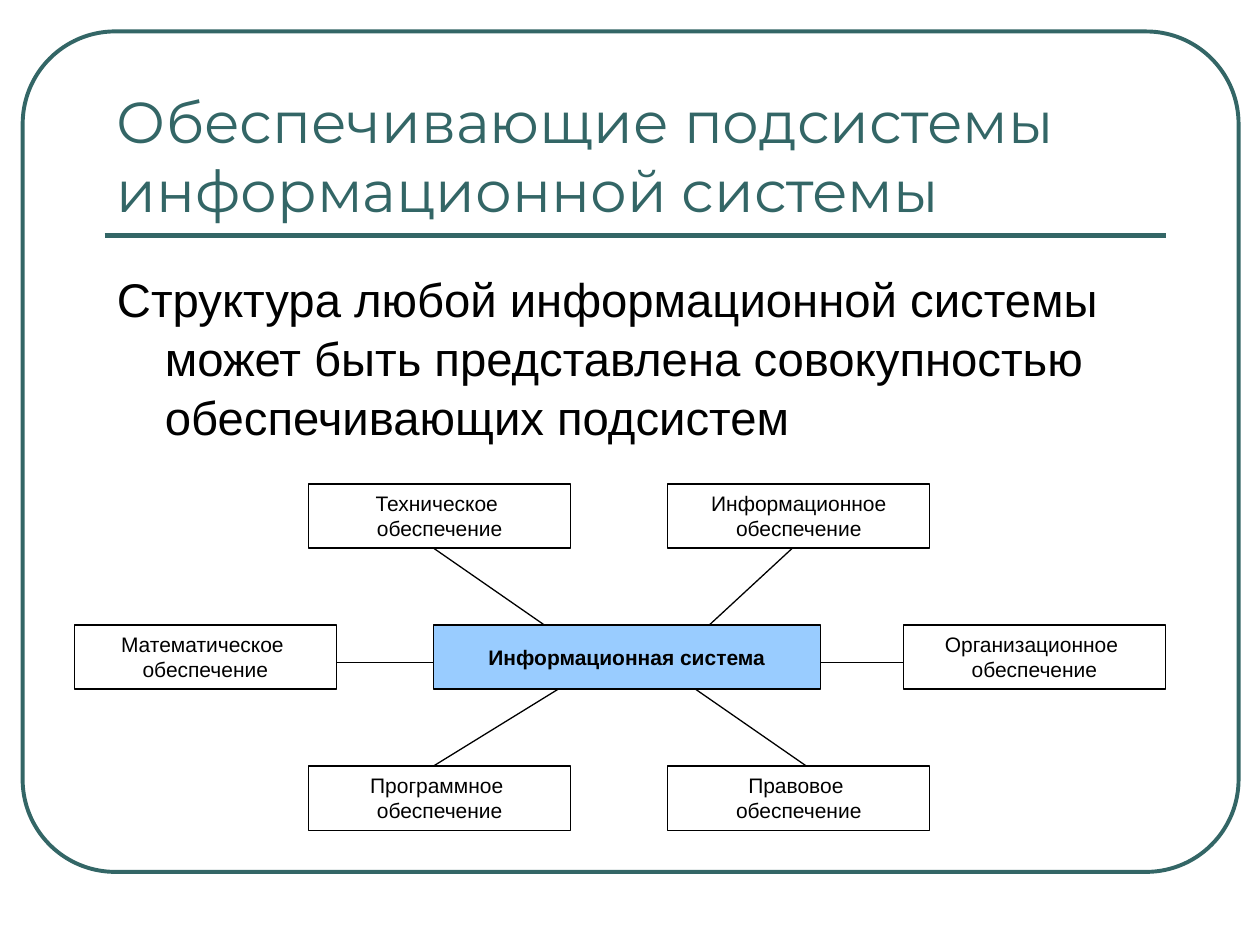
"""Build a slide showing the supporting subsystems of an information system."""
import pptx
import pptx.dml.color
import pptx.enum.shapes
import pptx.enum.text
import pptx.oxml
import pptx.oxml.ns
import pptx.util

Inches = pptx.util.Inches
Pt = pptx.util.Pt
RGBColor = pptx.dml.color.RGBColor
Shape = pptx.enum.shapes.MSO_SHAPE
Anchor = pptx.enum.text.MSO_ANCHOR
Align = pptx.enum.text.PP_ALIGN

TEAL = RGBColor(0x33, 0x66, 0x66)
BLACK = RGBColor(0x00, 0x00, 0x00)
WHITE = RGBColor(0xFF, 0xFF, 0xFF)
BLUE = RGBColor(0x99, 0xCC, 0xFF)

BOX_WIDTH, BOX_HEIGHT = 2.08, 0.51
CENTER_LEFT, CENTER_WIDTH = 3.44, 3.07
TOP_ROW, MIDDLE_ROW, BOTTOM_ROW = (3.84 + 1.12 * row for row in range(3))
INNER_LEFT, INNER_RIGHT = 2.45, 5.3
OUTER_LEFT, OUTER_RIGHT = 0.59, 7.17
SIDE_LINK = 5.26


class SlideStyle:
    """Hold the text style and the current slide."""

    def __init__(self, page):
        self.page = page
        self.font = "Arial"
        self.size = 12

    def set_font(self, para, font, size, color, bold=False):
        para.font.name = font
        para.font.size = Pt(size)
        para.font.color.rgb = color
        para.font.bold = bold

    def text(self, words, left, top, width, height, font, size, color, anchor):
        box = self.page.shapes.add_textbox(
            Inches(left), Inches(top), Inches(width), Inches(height))
        frame = box.text_frame
        frame.word_wrap = True
        frame.vertical_anchor = anchor
        frame.text = words
        para = frame.paragraphs[0]
        self.set_font(para, font, size, color)
        return para

    def shape(self, kind, left, top, width, height, line, weight, fill=None):
        shape = self.page.shapes.add_shape(
            kind, Inches(left), Inches(top), Inches(width), Inches(height))
        shape.shadow.inherit = False
        shape.line.color.rgb = line
        shape.line.width = Pt(weight)
        if fill is None:
            shape.fill.background()
        else:
            shape.fill.solid()
            shape.fill.fore_color.rgb = fill
        return shape

    def box(self, words, left, top, width=BOX_WIDTH, fill=WHITE,
            anchor=Anchor.TOP, bold=False):
        box = self.shape(Shape.RECTANGLE, left, top, width, BOX_HEIGHT,
                         BLACK, 0.75, fill)
        frame = box.text_frame
        frame.word_wrap = True
        frame.vertical_anchor = anchor
        frame.text = words
        for para in frame.paragraphs:
            para.alignment = Align.CENTER
            self.set_font(para, self.font, self.size, BLACK, bold)

    def line(self, start, end, color=BLACK, weight=0.75):
        line = self.page.shapes.add_connector(
            pptx.enum.shapes.MSO_CONNECTOR.STRAIGHT,
            *(Inches(value) for value in (*start, *end)))
        line.line.color.rgb = color
        line.line.width = Pt(weight)
        properties = line._element.spPr
        properties.append(pptx.oxml.parse_xml(
            f"<a:effectLst {pptx.oxml.ns.nsdecls('a')}/>"))


def main():
    deck = pptx.Presentation()
    deck.slide_width, deck.slide_height = Inches(10), Inches(7.5)
    page = deck.slides.add_slide(deck.slide_layouts[6])
    style = SlideStyle(page)

    border = style.shape(Shape.ROUNDED_RECTANGLE, 0.18, 0.25, 9.65, 6.67, TEAL, 2.25)
    border.adjustments[0] = 0.11
    style.line((0.83, 1.87), (9.25, 1.87), TEAL, 3)

    style.text("Обеспечивающие подсистемы информационной системы",
               0.83, 0.58, 8.42, 1.25, "Montserrat", 33, TEAL, Anchor.BOTTOM)
    body = style.text(
        "Структура любой информационной системы может быть представлена "
        "совокупностью обеспечивающих подсистем",
        0.83, 2.08, 8.42, 1.51, "Arial", 27, BLACK, Anchor.TOP)
    body.space_before = Pt(6.8)
    body.line_spacing = 1.04
    indent = body._p.get_or_add_pPr()
    indent.set("marL", str(Inches(0.38)))
    indent.set("indent", str(Inches(-0.38)))

    subsystems = [
        ("Техническое \nобеспечение", INNER_LEFT, TOP_ROW),
        ("Информационное обеспечение", INNER_RIGHT, TOP_ROW),
        ("Математическое \nобеспечение", OUTER_LEFT, MIDDLE_ROW),
        ("Организационное \nобеспечение", OUTER_RIGHT, MIDDLE_ROW),
        ("Программное \nобеспечение", INNER_LEFT, BOTTOM_ROW),
        ("Правовое \nобеспечение", INNER_RIGHT, BOTTOM_ROW),
    ]
    for words, left, top in subsystems:
        style.box(words, left, top)
    style.box("Информационная система", CENTER_LEFT, MIDDLE_ROW, CENTER_WIDTH,
              BLUE, Anchor.MIDDLE, True)

    center_right = CENTER_LEFT + CENTER_WIDTH
    top_edge, center_bottom = TOP_ROW + BOX_HEIGHT, MIDDLE_ROW + BOX_HEIGHT
    links = [
        ((3.44, top_edge), (4.32, MIDDLE_ROW)),
        ((6.29, top_edge), (5.63, MIDDLE_ROW)),
        ((OUTER_LEFT + BOX_WIDTH, SIDE_LINK), (CENTER_LEFT, SIDE_LINK)),
        ((center_right, SIDE_LINK), (OUTER_RIGHT, SIDE_LINK)),
        ((4.43, center_bottom), (3.44, BOTTOM_ROW)),
        ((5.52, center_bottom), (6.4, BOTTOM_ROW)),
    ]
    for start, end in links:
        style.line(start, end)

    deck.save("out.pptx")


if __name__ == "__main__":
    main()
